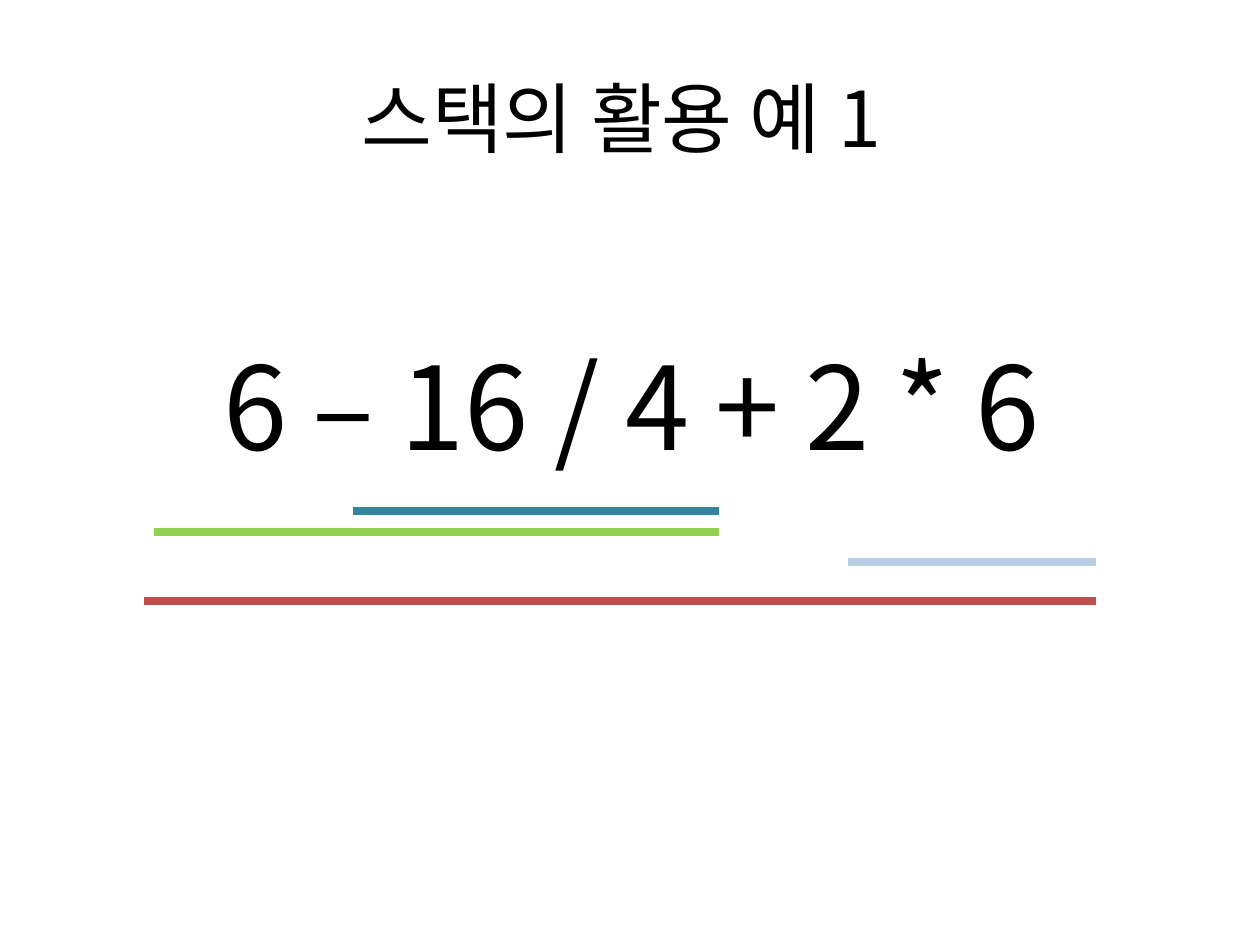
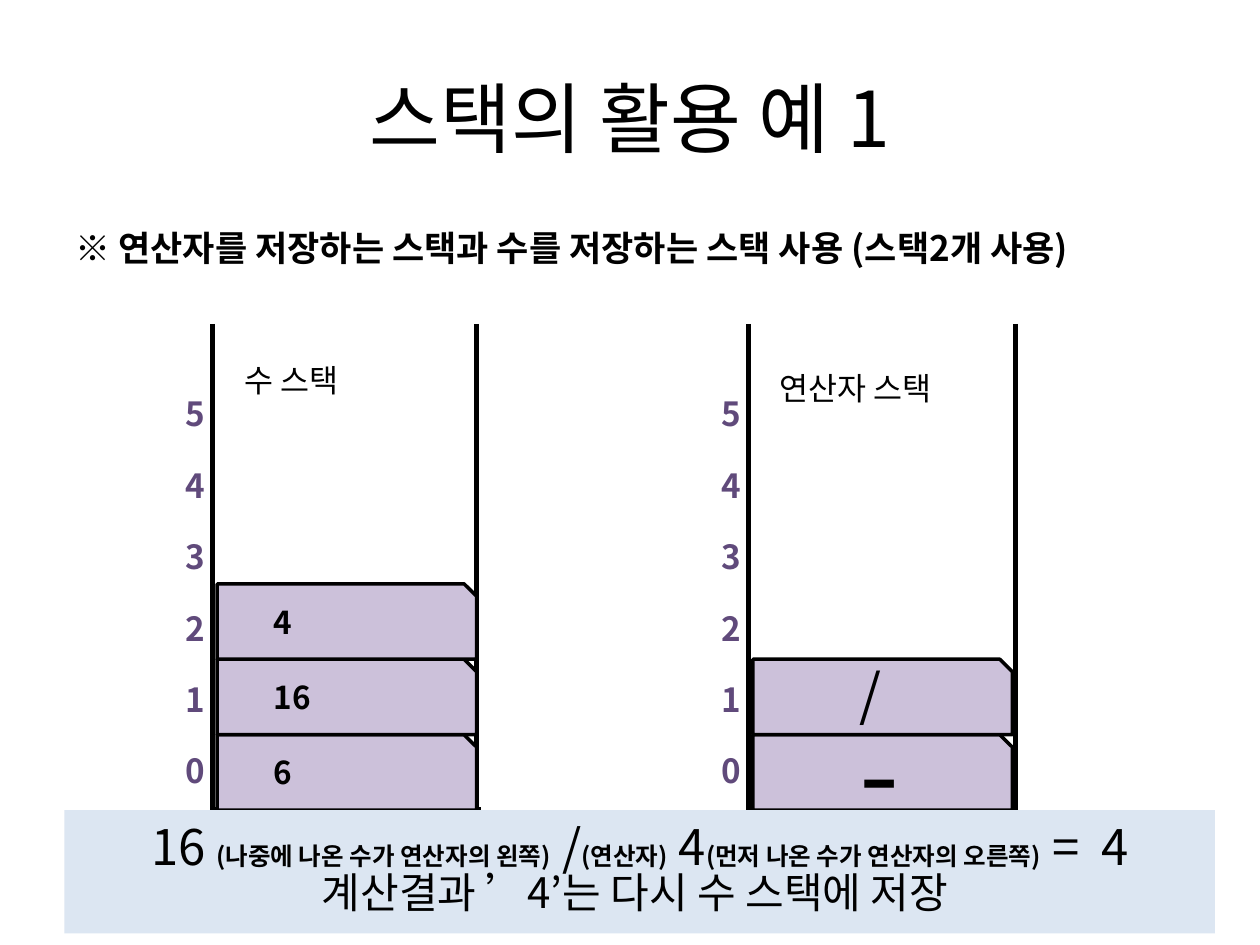
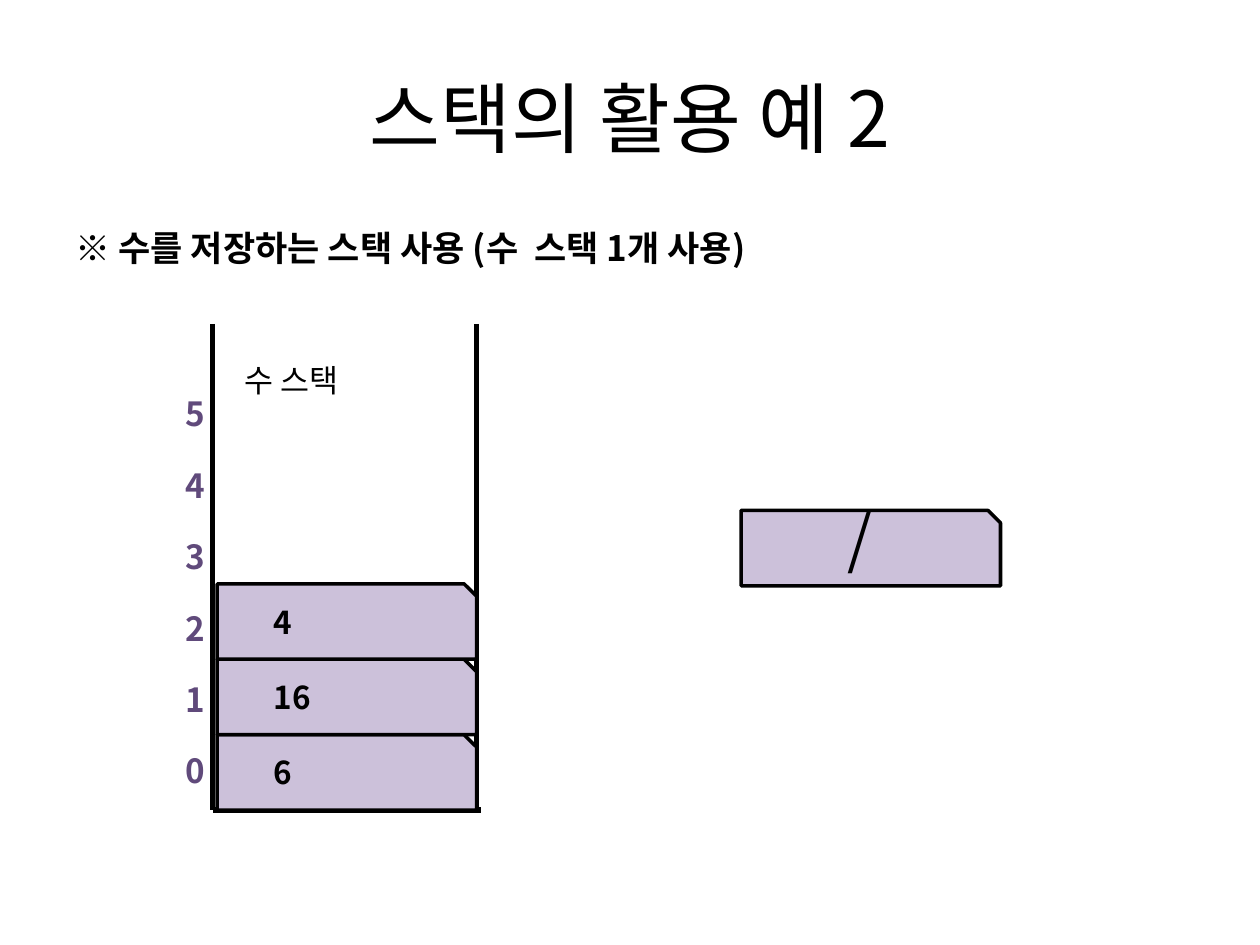
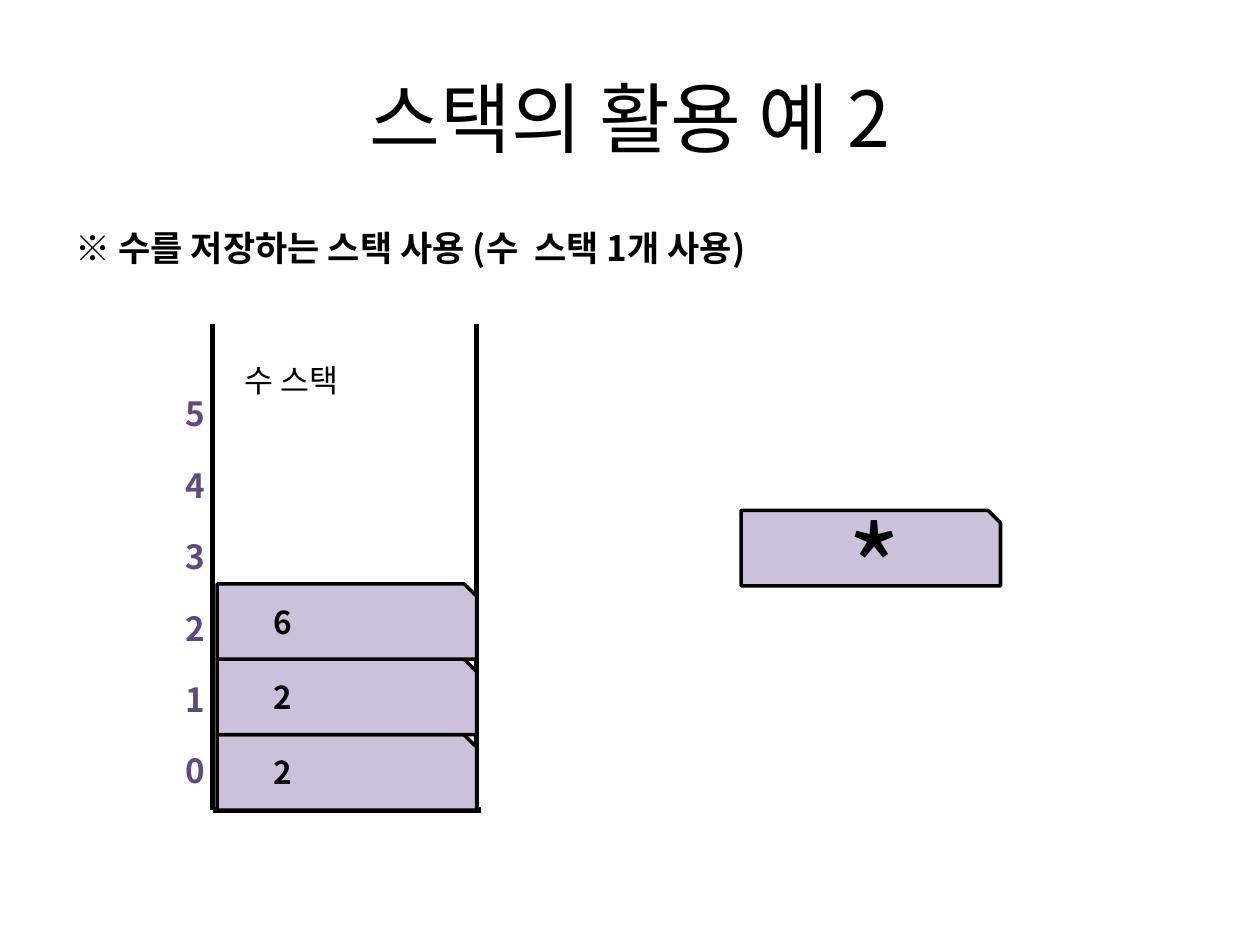
"""Build four slides that explain evaluating an expression with stacks."""
from lxml import etree
from pptx import Presentation
from pptx.dml.color import RGBColor
from pptx.enum.shapes import MSO_CONNECTOR, MSO_SHAPE
from pptx.enum.text import MSO_ANCHOR, PP_ALIGN
from pptx.oxml.ns import qn
from pptx.util import Cm, Pt

STRAIGHT = MSO_CONNECTOR.STRAIGHT
RECTANGLE, SNIPPED = MSO_SHAPE.RECTANGLE, MSO_SHAPE.SNIP_1_RECTANGLE
TOP, MIDDLE, BOTTOM = MSO_ANCHOR.TOP, MSO_ANCHOR.MIDDLE, MSO_ANCHOR.BOTTOM
LEFT, CENTER = PP_ALIGN.LEFT, PP_ALIGN.CENTER

FONT = "Noto Sans CJK KR"
BLACK = RGBColor(0x00, 0x00, 0x00)
LILAC = RGBColor(0xCC, 0xC1, 0xDA)
PURPLE = RGBColor(0x60, 0x4A, 0x7B)
PALE_BLUE = RGBColor(0xDC, 0xE6, 0xF2)
BLUE = RGBColor(0x37, 0x60, 0x92)
TEAL = RGBColor(0x31, 0x85, 0x9C)
GREEN = RGBColor(0x92, 0xD0, 0x50)
SKY = RGBColor(0xB9, 0xCD, 0xE5)
RED = RGBColor(0xC0, 0x50, 0x4D)

EXPRESSION = "6 – 16 / 4 + 2 * 6"
UNDERLINES = [
    (7.11, 14.5, 10.31, TEAL),
    (3.1, 14.5, 10.72, GREEN),
    (17.09, 22.1, 11.33, SKY),
    (2.9, 22.1, 12.12, RED),
]

TWO_STACKS = "※ 연산자를 저장하는 스택과 수를 저장하는 스택 사용 (스택2개 사용)"
ONE_STACK = "※ 수를 저장하는 스택 사용 (수  스택 1개 사용)"
INDEXES = ["5", "4", "3", "2", "1", "0"]

CALCULATION = [
    ("16 ", 28, False), ("(나중에 나온 수가 연산자의 왼쪽)  ", 14, True),
    ("/", 28, False), ("(연산자)  ", 14, True),
    ("4", 28, False), ("(먼저 나온 수가 연산자의 오른쪽)  ", 14, True),
    ("=  4", 28, False),
]
RESULT = "계산결과 ’4’는 다시 수 스택에 저장 "


def number(value):
    """Describe the text of a card that holds a number."""
    return dict(text=value, size=18, bold=True, dx=0.89, dy=0.25, height=1.02)


def operator(symbol, size, dy, height):
    """Describe the text of a card that holds an operator."""
    return dict(text=symbol, size=size, bold=False, dx=1.9, dy=dy, height=height)


def number_stack(*values):
    """Describe the stack of numbers, from the bottom up."""
    return dict(label="수 스택", label_top=7.14, left=4.29, inner=5.31,
                cards=[number(value) for value in values])


OPERATOR_STACK = dict(
    label="연산자 스택", label_top=7.32, left=15.09, inner=5.38,
    cards=[operator("-", 66, -0.81, 3.07), operator("/", 32, -0.13, 1.63)])

STACK_SLIDES = [
    dict(title="스택의 활용 예 1", heading=TWO_STACKS,
         stacks=[number_stack("6", "16", "4"), OPERATOR_STACK], summary=True),
    dict(title="스택의 활용 예 2", heading=ONE_STACK,
         stacks=[number_stack("6", "16", "4")],
         popped=operator("/", 36, -0.36, 1.8)),
    dict(title="스택의 활용 예 2", heading=ONE_STACK,
         stacks=[number_stack("2", "2", "6")],
         popped=operator("*", 66, -0.41, 3.07)),
]

STACK_TOP, STACK_BASE, BASE_WIDTH = 6.53, 16.33, 5.41
CARD_WIDTH, CARD_HEIGHT = 5.23, 1.52
POPPED_LEFT, POPPED_TOP = 14.94, 10.29


def style(paragraph, size, color=BLACK, bold=False, align=LEFT):
    paragraph.alignment = align
    font = paragraph.font
    font.name, font.size, font.bold = FONT, Pt(size), bold
    font.color.rgb = color
    defaults = paragraph._p.pPr.find(qn("a:defRPr"))
    etree.SubElement(defaults, qn("a:ea"), typeface=FONT)


def add_text(shapes, lines, box, size, anchor=MIDDLE, space_before=0, **look):
    frame = shapes.add_textbox(*map(Cm, box)).text_frame
    frame.word_wrap = True
    frame.vertical_anchor = anchor
    frame.text = "\n".join(lines)
    for paragraph in frame.paragraphs:
        style(paragraph, size, **look)
        paragraph.space_before = Pt(space_before)
    return frame


def add_line(slide, x1, y1, x2, y2, color=BLACK, width=3):
    line = slide.shapes.add_connector(STRAIGHT, Cm(x1), Cm(y1), Cm(x2), Cm(y2))
    line.line.color.rgb = color
    line.line.width = Pt(width)
    etree.SubElement(line._element.spPr, qn("a:effectLst"))


def add_block(shapes, kind, box, fill):
    block = shapes.add_shape(kind, *map(Cm, box))
    block.shadow.inherit = False
    block.fill.solid()
    block.fill.fore_color.rgb = fill
    block.line.fill.background()
    return block


def add_card(slide, left, top, content):
    group = slide.shapes.add_group_shape().shapes
    card = add_block(group, SNIPPED, (left, top, CARD_WIDTH, CARD_HEIGHT), LILAC)
    card.line.color.rgb = BLACK
    card.line.width = Pt(2)
    box = (left + content["dx"], top + content["dy"], 2.74, content["height"])
    add_text(group, [content["text"]], box, content["size"], bold=content["bold"])


def add_stack(slide, stack):
    left = stack["left"]
    for x in (left, left + stack["inner"]):
        add_line(slide, x, STACK_TOP, x, STACK_BASE)
    add_line(slide, left, STACK_BASE, left + BASE_WIDTH, STACK_BASE)
    for level, content in enumerate(stack["cards"], 1):
        add_card(slide, left + 0.09, STACK_BASE - level * CARD_HEIGHT, content)
    add_text(slide.shapes, INDEXES, (left - 0.79, 6.05, 0.79, 10.01), 19,
             anchor=BOTTOM, space_before=18, color=PURPLE, bold=True)
    add_text(slide.shapes, [stack["label"]],
             (left + 0.38, stack["label_top"], 4.39, 1.02), 18)


def add_summary(slide):
    band = add_block(slide.shapes, RECTANGLE, (1.3, STACK_BASE, 23.19, 2.49), PALE_BLUE)
    frame = band.text_frame
    frame.word_wrap = True
    frame.vertical_anchor = MIDDLE
    calculation, result = frame.paragraphs[0], frame.add_paragraph()
    for text, size, bold in CALCULATION:
        run = calculation.add_run()
        run.text = text
        run.font.size, run.font.bold = Pt(size), bold
    result.add_run().text = RESULT
    style(calculation, 28, align=CENTER)
    style(result, 24, color=BLUE, align=CENTER)
    for paragraph in frame.paragraphs:
        paragraph.line_spacing = 0.82
        for run in paragraph.runs:
            run.font.color.rgb = BLUE if paragraph is result else BLACK


def add_slide(deck, title):
    slide = deck.slides.add_slide(deck.slide_layouts[6])
    add_text(slide.shapes, [title], (1.27, 0.76, 22.86, 3.18), 44, align=CENTER)
    return slide


def add_expression_slide(deck):
    slide = add_slide(deck, "스택의 활용 예 1 ")
    expression = add_text(slide.shapes, [EXPRESSION], (1.3, 3.73, 22.86, 11.4), 66,
                          anchor=TOP, align=CENTER)
    expression.margin_top = Cm(3.02)
    for start, end, y, color in UNDERLINES:
        add_line(slide, start, y, end, y, color, 4.5)


def add_stack_slide(deck, content):
    slide = add_slide(deck, content["title"])
    add_text(slide.shapes, [content["heading"]], (1.27, 4.45, 22.86, 1.27), 20,
             anchor=TOP, bold=True)
    for stack in content["stacks"]:
        add_stack(slide, stack)
    if "popped" in content:
        add_card(slide, POPPED_LEFT, POPPED_TOP, content["popped"])
    if content.get("summary"):
        add_summary(slide)


def main():
    deck = Presentation()
    deck.slide_width, deck.slide_height = Cm(25.4), Cm(19.05)
    add_expression_slide(deck)
    for content in STACK_SLIDES:
        add_stack_slide(deck, content)
    deck.save("out.pptx")


if __name__ == "__main__":
    main()
